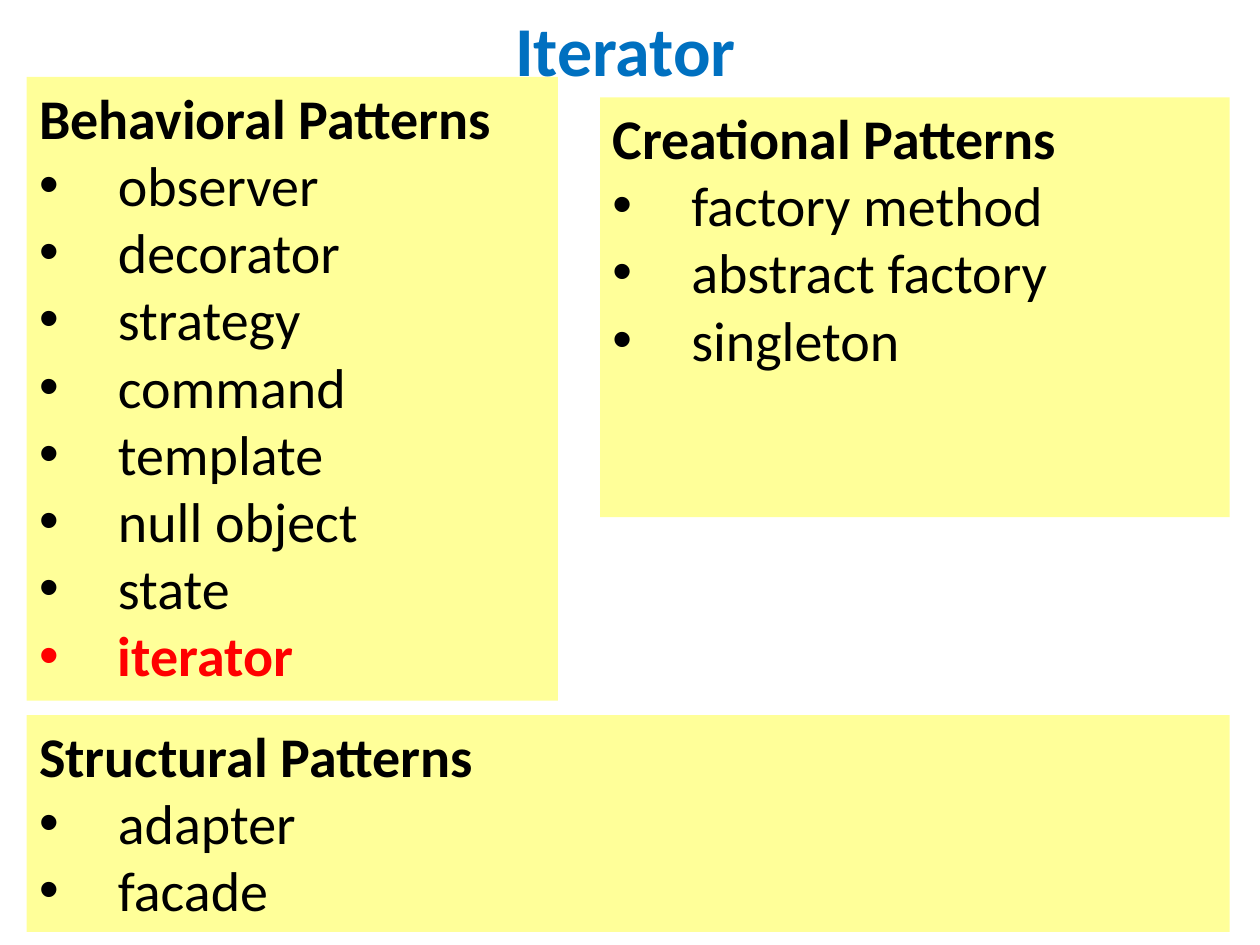
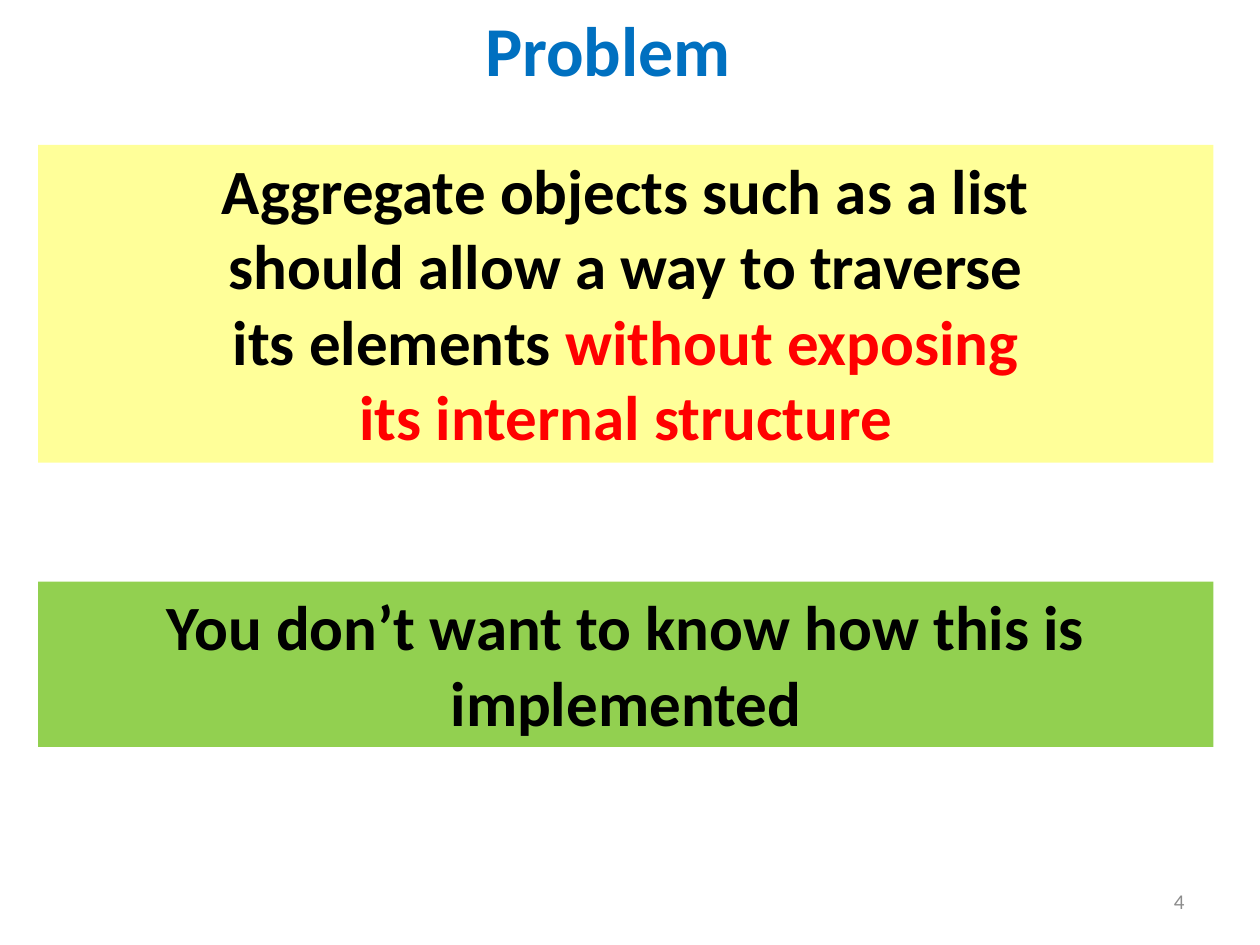
from dataclasses import dataclass

from lxml import etree
from pptx import Presentation
from pptx.dml.color import RGBColor
from pptx.enum import shapes, text
from pptx.oxml import ns
from pptx.util import Pt


@dataclass(frozen=True)
class Theme:
    font: str = "Calibri"
    title: str = "0070C0"
    ink: str = "000000"
    accent: str = "FF0000"
    muted: str = "8C8C8C"
    yellow: str = "FFFF99"
    green: str = "92D050"
    title_size: int = 40
    statement_size: int = 36
    list_size: int = 32
    number_size: int = 12
    bullet_indent: int = 45


THEME = Theme()
LEFT, CENTER, RIGHT = (text.PP_ALIGN.LEFT, text.PP_ALIGN.CENTER,
                       text.PP_ALIGN.RIGHT)


# Text
def add_run(paragraph, content, *, size, color=THEME.ink, bold=False):
    run = paragraph.add_run()
    run.text = content
    run.font.name = THEME.font
    run.font.size = Pt(size)
    run.font.bold = bold
    run.font.color.rgb = RGBColor.from_string(color)


def next_paragraph(frame, align=LEFT):
    first = frame.paragraphs[0]
    paragraph = frame.add_paragraph() if first.runs else first
    paragraph.alignment = align
    return paragraph


def add_bullet(paragraph):
    properties = paragraph._p.get_or_add_pPr()
    indent = Pt(THEME.bullet_indent)
    properties.set("marL", str(indent))
    properties.set("indent", str(-indent))
    font = etree.SubElement(properties, ns.qn("a:buFont"))
    font.set("typeface", "Arial")
    etree.SubElement(properties, ns.qn("a:buChar")).set("char", "•")


# Elements
def add_label(slide, content, box, *, align=CENTER,
              anchor=text.MSO_ANCHOR.TOP, **style):
    frame = slide.shapes.add_textbox(*map(Pt, box)).text_frame
    frame.word_wrap = True
    frame.vertical_anchor = anchor
    add_run(next_paragraph(frame, align), content, **style)


def add_title(slide, content, left, width):
    add_label(slide, content, (left, 0, width, 55.5),
              size=THEME.title_size, color=THEME.title, bold=True)


def add_panel(slide, box, fill):
    panel = slide.shapes.add_shape(shapes.MSO_SHAPE.RECTANGLE, *map(Pt, box))
    panel.shadow.inherit = False
    panel.fill.solid()
    panel.fill.fore_color.rgb = RGBColor.from_string(fill)
    panel.line.fill.background()
    frame = panel.text_frame
    frame.word_wrap = True
    frame.vertical_anchor = text.MSO_ANCHOR.TOP
    return frame


def add_pattern_list(slide, heading, patterns, box, current=None):
    frame = add_panel(slide, box, THEME.yellow)
    add_run(next_paragraph(frame), heading, size=THEME.list_size, bold=True)
    for pattern in patterns:
        paragraph = next_paragraph(frame)
        add_bullet(paragraph)
        is_current = pattern == current
        add_run(paragraph, pattern, size=THEME.list_size, bold=is_current,
                color=THEME.accent if is_current else THEME.ink)


def add_statement(slide, lines, box, fill):
    """Each line is a list of (text, color) pairs."""
    frame = add_panel(slide, box, fill)
    for line in lines:
        paragraph = next_paragraph(frame, CENTER)
        for content, color in line:
            add_run(paragraph, content, size=THEME.statement_size,
                    color=color, bold=True)


# Slides
def build_patterns(slide):
    left, right = 15.3, 702.7
    creational_left = 342.9
    add_title(slide, "Iterator", 241.2, 232.6)
    add_pattern_list(
        slide, "Behavioral Patterns",
        ["observer", "decorator", "strategy", "command", "template",
         "null object", "state", "iterator"],
        (left, 44, 303.6, 356.4), current="iterator")
    add_pattern_list(
        slide, "Creational Patterns",
        ["factory method", "abstract factory", "singleton"],
        (creational_left, 55.6, right - creational_left, 240))
    add_pattern_list(
        slide, "Structural Patterns", ["adapter", "facade"],
        (left, 408.7, right - left, 123.8))


def build_problem(slide):
    left, width = 21.8, 671.6
    add_label(slide, "4", (516, 500.5, 168, 28.75), align=RIGHT,
              anchor=text.MSO_ANCHOR.MIDDLE, size=THEME.number_size,
              color=THEME.muted)
    add_title(slide, "Problem", 259.3, 176)
    add_statement(
        slide,
        [[("Aggregate objects such as a list", THEME.ink)],
         [("should allow a way to traverse", THEME.ink)],
         [("its elements ", THEME.ink), ("without exposing", THEME.accent)],
         [("its internal structure", THEME.accent)]],
        (left, 82.8, width, 181.6), THEME.yellow)
    add_statement(
        slide,
        [[("You don’t want to know how this is implemented", THEME.ink)]],
        (left, 332.4, width, 94.5), THEME.green)


def main():
    presentation = Presentation()
    presentation.slide_width, presentation.slide_height = Pt(720), Pt(540)
    blank = presentation.slide_layouts[6]
    for build in (build_patterns, build_problem):
        build(presentation.slides.add_slide(blank))
    presentation.save("out.pptx")


if __name__ == "__main__":
    main()
